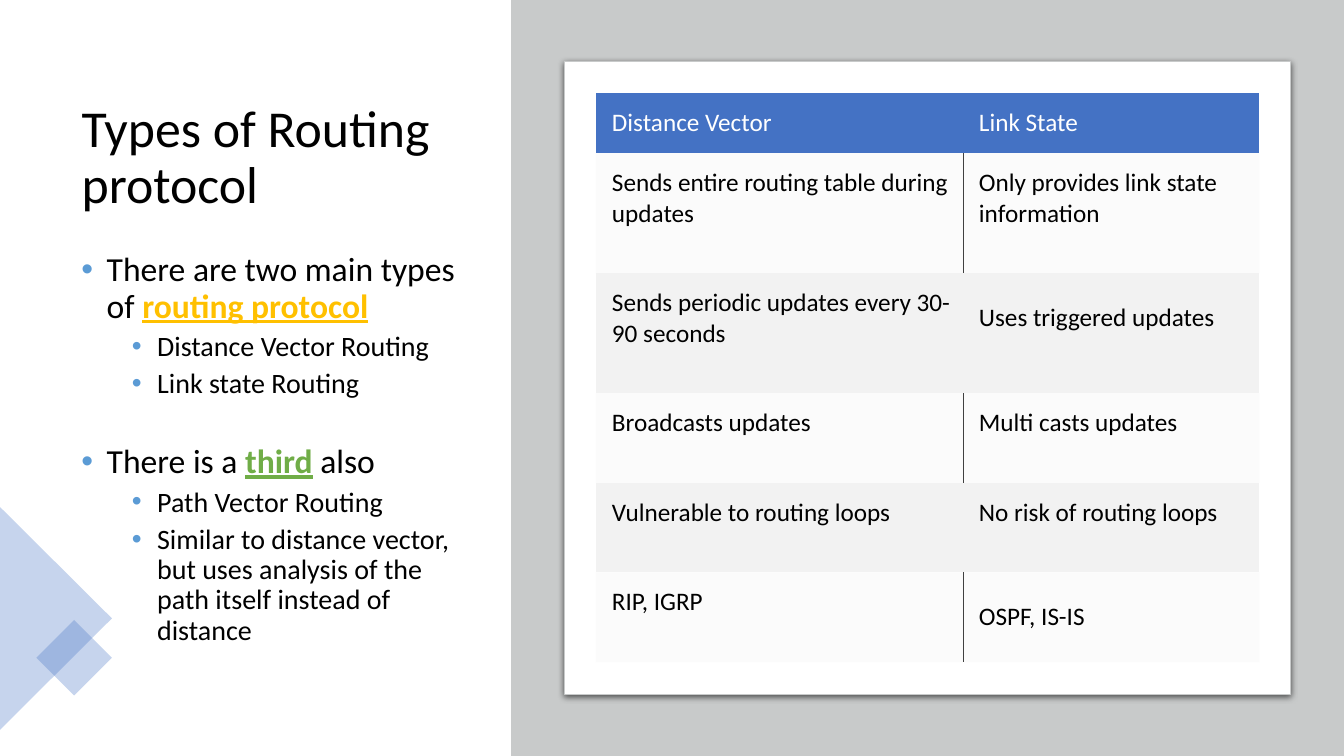
import dataclasses
import lxml.etree
import pptx
import pptx.dml.color
import pptx.enum.shapes
import pptx.enum.text
import pptx.oxml.ns
import pptx.util

Inches = pptx.util.Inches
Pt = pptx.util.Pt
Kind = pptx.enum.shapes.MSO_SHAPE
Anchor = pptx.enum.text.MSO_ANCHOR
qn = pptx.oxml.ns.qn


@dataclasses.dataclass(frozen=True)
class Theme:
    font: str = "Calibri"
    ink: str = "000000"
    white: str = "FFFFFF"
    blue: str = "4472C4"
    sky: str = "5B9BD5"
    gold: str = "FFC000"
    green: str = "70AD47"
    gray: str = "C8CACA"
    band: str = "F2F2F2"
    rule: str = "404040"
    head: float = 37
    body: float = 24
    sub: float = 20
    cell: float = 18


def color(code):
    return pptx.dml.color.RGBColor.from_string(code)


def node(up, tag, **attrs):
    return lxml.etree.SubElement(up, qn(tag), attrs)


class Deck:
    def __init__(self, theme):
        self.theme = theme
        self.file = pptx.Presentation()
        self.file.slide_width = Inches(13.33)
        self.file.slide_height = Inches(7.5)
        self.slide = self.file.slides.add_slide(self.file.slide_layouts[5])

    def style(self, run, size, code, strong=False):
        run.font.name = self.theme.font
        run.font.size = Pt(size)
        run.font.color.rgb = color(code)
        run.font.bold = strong
        run.font.underline = strong

    def paint(self, fill, base, code, alpha=100):
        fill.solid()
        fill.fore_color.rgb = color(code)
        if alpha < 100:
            for tint in base.findall(qn("a:solidFill") + "/" + qn("a:srgbClr")):
                node(tint, "a:alpha", val=str(alpha * 1000))

    def shape(self, kind, box, code, alpha=100, turn=0, edge=None):
        item = self.slide.shapes.add_shape(kind, *map(Inches, box))
        item.rotation = turn
        item.shadow.inherit = False
        self.paint(item.fill, item._element.spPr, code, alpha)
        if edge:
            item.line.color.rgb = color(edge)
            item.line.width = Pt(0.75)
        else:
            item.line.fill.background()
        return item

    def card(self, box):
        item = self.shape(Kind.RECTANGLE, box, self.theme.white, edge=self.theme.gray)
        effects = item._element.spPr.find(qn("a:effectLst"))
        shade = node(effects, "a:outerShdw", blurRad=str(Pt(4.5)), dist=str(Pt(1.5)),
                     dir="5400000", algn="t", rotWithShape="0")
        tint = node(shade, "a:srgbClr", val=self.theme.ink)
        node(tint, "a:alpha", val="63000")

    def title(self, text, box):
        item = self.slide.shapes.title
        item.left, item.top, item.width, item.height = map(Inches, box)
        frame = item.text_frame
        frame.text = text
        frame.word_wrap = True
        frame.auto_size = pptx.enum.text.MSO_AUTO_SIZE.NONE
        frame.vertical_anchor = Anchor.MIDDLE
        para = frame.paragraphs[0]
        para.alignment = pptx.enum.text.PP_ALIGN.LEFT
        para.line_spacing = 0.9
        self.style(para.runs[0], self.theme.head, self.theme.ink)

    def bullets(self, items, box):
        frame = self.slide.shapes.add_textbox(*map(Inches, box)).text_frame
        frame.word_wrap = True
        for index, (level, gap, parts) in enumerate(items):
            para = frame.add_paragraph() if index else frame.paragraphs[0]
            para.level = level
            para.line_spacing = 0.9
            para.space_before = Pt(gap)
            props = para._p.get_or_add_pPr()
            props.set("marL", str(Inches(0.25 + 0.5 * level)))
            props.set("indent", str(Inches(-0.25)))
            node(node(props, "a:buClr"), "a:srgbClr", val=self.theme.sky)
            node(props, "a:buFont", typeface="Arial")
            node(props, "a:buChar", char="•")
            size = self.theme.sub if level else self.theme.body
            for text, code in parts:
                run = para.add_run()
                run.text = text
                self.style(run, size, code, code != self.theme.ink)

    def border(self, cell, side):
        props = cell._tc.get_or_add_tcPr()
        line = node(props, side, w=str(Pt(0.5)))
        node(node(line, "a:solidFill"), "a:srgbClr", val=self.theme.rule)
        props.insert(0, line)

    def table(self, rows, widths, heights, box):
        look = self.theme
        table = self.slide.shapes.add_table(
            len(rows), len(widths), *map(Inches, box)).table
        table._tbl.tblPr.find(qn("a:tableStyleId")).text = \
            "{2D5ABB26-0587-4C30-8999-92F81FD0307C}"
        table.horz_banding = False
        for col, width in zip(table.columns, widths):
            col.width = Inches(width)
        for r, (texts, height) in enumerate(zip(rows, heights)):
            table.rows[r].height = Inches(height)
            for c, (text, low) in enumerate(texts):
                cell = table.cell(r, c)
                cell.text = text
                cell.vertical_anchor = Anchor.MIDDLE
                cell.margin_left = Inches(0.16)
                cell.margin_right = Inches(0.08)
                cell.margin_top = Inches(0.13)
                cell.margin_bottom = Inches(low)
                self.style(cell.text_frame.paragraphs[0].runs[0], look.cell,
                           look.ink if r else look.white)
                self.paint(cell.fill, cell._tc.get_or_add_tcPr(),
                           look.band if r else look.blue, 30 if r % 2 else 100)
                if r % 2:
                    self.border(cell, "a:lnL" if c else "a:lnR")


def main():
    look = Theme()
    deck = Deck(look)
    deck.shape(Kind.ISOSCELES_TRIANGLE, (-0.55, 5.58, 2.21, 1.11), look.blue, 30, 90)
    deck.shape(Kind.RECTANGLE, (0.47, 6.26, 0.53, 0.53), look.blue, 30, 45)
    deck.title("Types of Routing protocol", (0.71, 0.69, 3.83, 1.77))
    ink = look.ink
    deck.bullets([
        (0, 10, [("There are two main types of ", ink), ("routing protocol", look.gold)]),
        (1, 5, [("Distance Vector Routing", ink)]),
        (1, 5, [("Link state Routing", ink)]),
        (0, 32, [("There is a ", ink), ("third", look.green), (" also", ink)]),
        (1, 5, [("Path Vector Routing", ink)]),
        (1, 5, [("Similar to distance vector, but uses analysis of the path "
                 "itself instead of distance", ink)]),
    ], (0.71, 2.46, 4.05, 4.14))
    deck.shape(Kind.RECTANGLE, (5.07, 0, 8.26, 7.5), look.gray)
    deck.card((5.6, 0.61, 7.2, 6.28))
    snug, deep = 0.13, 0.43
    deck.table([
        [("Distance Vector", snug), ("Link State", snug)],
        [("Sends entire routing table during updates", deep),
         ("Only provides link state information", deep)],
        [("Sends periodic updates every 30-90 seconds", deep),
         ("Uses triggered updates", deep)],
        [("Broadcasts updates", deep), ("Multi casts updates", deep)],
        [("Vulnerable to routing loops", deep), ("No risk of routing loops", deep)],
        [("RIP, IGRP", deep), ("OSPF, IS-IS", snug)],
    ], (3.64, 2.94), [0.6] + [1.19] * 2 + [0.89] * 3, (5.91, 0.92, 6.58, 5.65))
    deck.file.save("out.pptx")


if __name__ == "__main__":
    main()
